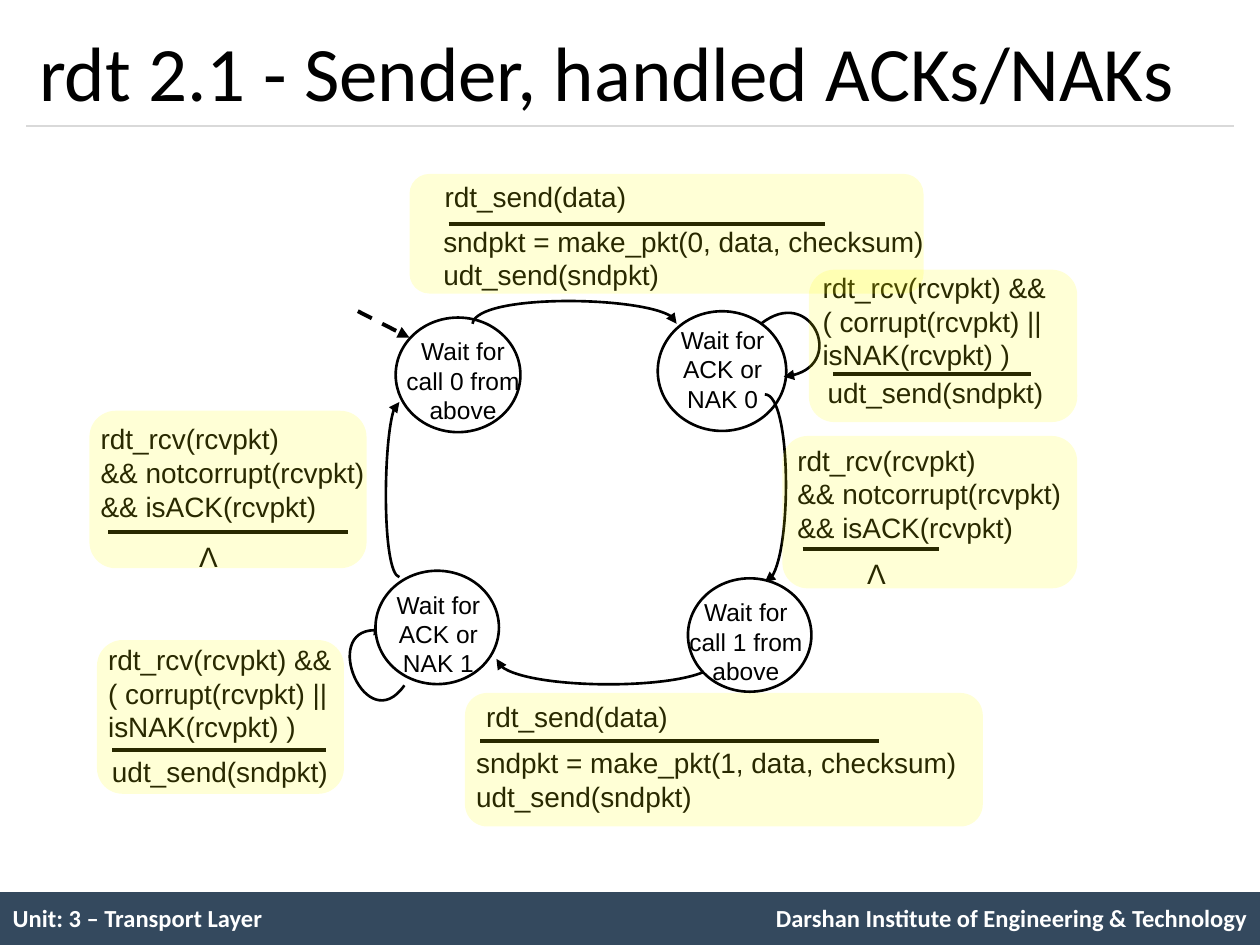
from lxml.etree import SubElement
from pptx import Presentation
from pptx.dml.color import RGBColor
from pptx.enum.dml import MSO_LINE
from pptx.enum.shapes import MSO_CONNECTOR, MSO_SHAPE
from pptx.enum.text import MSO_ANCHOR, PP_ALIGN
from pptx.oxml.ns import qn
from pptx.util import Inches, Pt

BLACK = RGBColor(0x00, 0x00, 0x00)
WHITE = RGBColor(0xFF, 0xFF, 0xFF)
NAVY = RGBColor(0x34, 0x49, 0x5E)
GREY = RGBColor(0xD9, 0xD9, 0xD9)
YELLOW = RGBColor(0xFF, 0xFF, 0x00)
PLAIN_TABLE = "{2D5ABB26-0587-4C30-8999-92F81FD0307C}"
WIDTH, HEIGHT = 10, 7.5
MARGIN, FOOTER_TOP = 0.21, 7.08

TITLE = "rdt 2.1 - Sender, handled ACKs/NAKs"
FOOTER = [
    (5.08, "Unit: 3 – Transport Layer", PP_ALIGN.LEFT),
    (0.67, "", PP_ALIGN.LEFT),
    (4.25, "Darshan Institute of Engineering & Technology", PP_ALIGN.RIGHT),
]

UPPER_STATES = [
    ((3.14, 2.52, 0.99, 0.91), (3.08, 2.62, 1.19, 0.67), ["Wait for call 0 from above"]),
    ((5.22, 2.47, 1.02, 0.95), (5.14, 2.53, 1.19, 0.71), ["Wait for ACK or NAK 0"]),
]
LOWER_STATES = [
    ((5.46, 4.59, 0.98, 0.90), (5.31, 4.69, 1.22, 0.67), ["Wait for", "call 1 from above"]),
    ((2.98, 4.53, 0.98, 0.90), (2.91, 4.63, 1.14, 0.67), ["Wait for ACK or NAK 1"]),
]

ARCS = [
    [(3.75, 2.57), (3.78, 2.33), (5.37, 2.35), (5.37, 2.57)],
    [(6.04, 2.57), (6.43, 2.26), (6.75, 2.94), (6.22, 2.99)],
    [(6.07, 3.13), (6.28, 3.13), (6.29, 4.59), (6.07, 4.62)],
    [(5.69, 5.23), (5.69, 5.48), (3.97, 5.50), (3.94, 5.23)],
    [(3.21, 5.44), (2.91, 5.87), (2.50, 4.91), (3.05, 5.01)],
    [(3.17, 4.58), (3.03, 4.55), (3.04, 3.19), (3.17, 3.19)],
]

SEND = ["rdt_send(data)"]
RESEND = ["udt_send(sndpkt)"]
CORRUPT = ["rdt_rcv(rcvpkt) &&", "( corrupt(rcvpkt) ||", "isNAK(rcvpkt) )"]
ACKED = ["rdt_rcv(rcvpkt)", "&& notcorrupt(rcvpkt)", "&& isACK(rcvpkt)"]
NOTHING = ["Λ"]


def make_packet(number):
    return [f"sndpkt = make_pkt({number}, data, checksum)"] + RESEND


TRANSITIONS = [
    dict(panel=(3.25, 1.38, 4.08, 0.95), event=SEND, event_box=(3.43, 1.38, 2.31, 0.33),
         rule=(3.56, 6.55, 1.78), action=make_packet(0), action_box=(3.42, 1.73, 4.04, 0.44)),
    dict(panel=(6.21, 3.46, 2.34, 1.21), event=ACKED, event_box=(6.23, 3.47, 3.28, 0.62),
         rule=(6.37, 7.45, 4.36), action=NOTHING, action_box=(6.78, 4.37, 0.35, 0.37)),
    dict(panel=(6.42, 2.14, 2.13, 1.21), event=CORRUPT, event_box=(6.43, 2.10, 2.80, 0.62),
         rule=(6.61, 8.18, 2.97), action=RESEND, action_box=(6.47, 2.93, 2.47, 0.44)),
    dict(panel=(3.69, 5.50, 4.11, 1.06), event=SEND, event_box=(3.76, 5.50, 2.61, 0.31),
         rule=(3.81, 6.98, 5.88), action=make_packet(1), action_box=(3.68, 5.87, 4.12, 0.44)),
    dict(panel=(0.77, 5.08, 1.96, 1.22), event=CORRUPT, event_box=(0.76, 5.05, 2.20, 0.62),
         rule=(0.89, 2.59, 5.95), action=RESEND, action_box=(0.79, 5.94, 1.99, 0.30)),
    dict(panel=(0.71, 3.26, 2.20, 1.25), event=ACKED, event_box=(0.70, 3.30, 2.31, 0.62),
         rule=(0.86, 2.76, 4.22), action=NOTHING, action_box=(1.48, 4.23, 0.35, 0.37)),
]


def inches(values):
    return [Inches(value) for value in values]


def style_paragraph(paragraph, size, font="Arial", color=BLACK, align=PP_ALIGN.LEFT, bold=False):
    paragraph.alignment = align
    paragraph.font.name = font
    paragraph.font.size = Pt(size)
    paragraph.font.bold = bold
    paragraph.font.color.rgb = color


def add_label(shapes, box, lines, size, align=PP_ALIGN.LEFT, wrap=True):
    frame = shapes.add_textbox(*inches(box)).text_frame
    frame.word_wrap = wrap
    frame.text = "\n".join(lines)
    for paragraph in frame.paragraphs:
        style_paragraph(paragraph, size, align=align)


def add_block(shapes, kind, box, fill):
    block = shapes.add_shape(kind, *inches(box))
    block.shadow.inherit = False
    block.fill.solid()
    block.fill.fore_color.rgb = fill
    block.line.fill.background()
    return block


def add_line(shapes, start, end, width, color=BLACK):
    line = shapes.add_connector(MSO_CONNECTOR.STRAIGHT, *inches(start + end))
    line.line.color.rgb = color
    line.line.width = Pt(width)
    SubElement(line._element.spPr, qn("a:effectLst"))
    return line


def add_arrowhead(shape):
    SubElement(shape.line._get_or_add_ln(), qn("a:tailEnd"), type="triangle")


def add_state(shapes, circle_box, label_box, lines):
    circle = add_block(shapes, MSO_SHAPE.OVAL, circle_box, WHITE)
    circle.line.color.rgb = BLACK
    circle.line.width = Pt(1.5)
    add_label(shapes, label_box, lines, 14, PP_ALIGN.CENTER)


def add_arc(shapes, points):
    start, *rest = [inches(point) for point in points]
    builder = shapes.build_freeform(*start)
    builder.add_line_segments(rest, close=False)
    arc = builder.convert_to_shape()
    outline = next(arc._element.iter(qn("a:path")))
    curve = SubElement(outline, qn("a:cubicBezTo"))
    for segment in outline.findall(qn("a:lnTo")):
        curve.append(segment[0])
        outline.remove(segment)
    arc.shadow.inherit = False
    arc.fill.background()
    arc.line.color.rgb = BLACK
    arc.line.width = Pt(1.5)
    add_arrowhead(arc)


def add_footer(shapes):
    add_block(shapes, MSO_SHAPE.RECTANGLE, (0, FOOTER_TOP, WIDTH, HEIGHT - FOOTER_TOP), NAVY)
    table = shapes.add_table(1, len(FOOTER), *inches((0, FOOTER_TOP, WIDTH, 0.43))).table
    table.first_row = table.horz_banding = False
    table._tbl.tblPr.find(qn("a:tableStyleId")).text = PLAIN_TABLE
    for index, (width, text, align) in enumerate(FOOTER):
        table.columns[index].width = Inches(width)
        cell = table.cell(0, index)
        cell.fill.background()
        cell.vertical_anchor = MSO_ANCHOR.MIDDLE
        cell.text = text
        style_paragraph(cell.text_frame.paragraphs[0], 14, "Calibri", WHITE, align, True)


def add_title(shapes):
    title = shapes.title
    title.left, title.top, title.width, title.height = inches((MARGIN, 0.12, WIDTH - 2 * MARGIN, 0.88))
    title.text_frame.text = TITLE
    title.text_frame.vertical_anchor = MSO_ANCHOR.MIDDLE
    style_paragraph(title.text_frame.paragraphs[0], 44, "Calibri")
    add_line(shapes, (MARGIN, 1), (WIDTH - MARGIN, 1), 0.75, GREY)


def main():
    deck = Presentation()
    deck.slide_width, deck.slide_height = inches((WIDTH, HEIGHT))
    shapes = deck.slides.add_slide(deck.slide_layouts[5]).shapes
    add_footer(shapes)
    add_title(shapes)

    for state in UPPER_STATES:
        add_state(shapes, *state)
    initial = add_line(shapes, (2.84, 2.47), (3.25, 2.68), 2.25)
    initial.line.dash_style = MSO_LINE.DASH
    add_arrowhead(initial)
    for arc in ARCS:
        add_arc(shapes, arc)
    for state in LOWER_STATES:
        add_state(shapes, *state)

    for step in TRANSITIONS:
        left, right, y = step["rule"]
        silent = step["action"] is NOTHING
        add_label(shapes, step["event_box"], step["event"], 16)
        add_line(shapes, (left, y), (right, y), 2.25)
        add_label(shapes, step["action_box"], step["action"], 16,
                  PP_ALIGN.CENTER if silent else PP_ALIGN.LEFT, not silent)
    for step in TRANSITIONS:
        panel = add_block(shapes, MSO_SHAPE.ROUNDED_RECTANGLE, step["panel"], YELLOW)
        tint = next(panel._element.spPr.iter(qn("a:srgbClr")))
        SubElement(tint, qn("a:alpha"), val="16000")

    deck.save("out.pptx")


if __name__ == "__main__":
    main()
